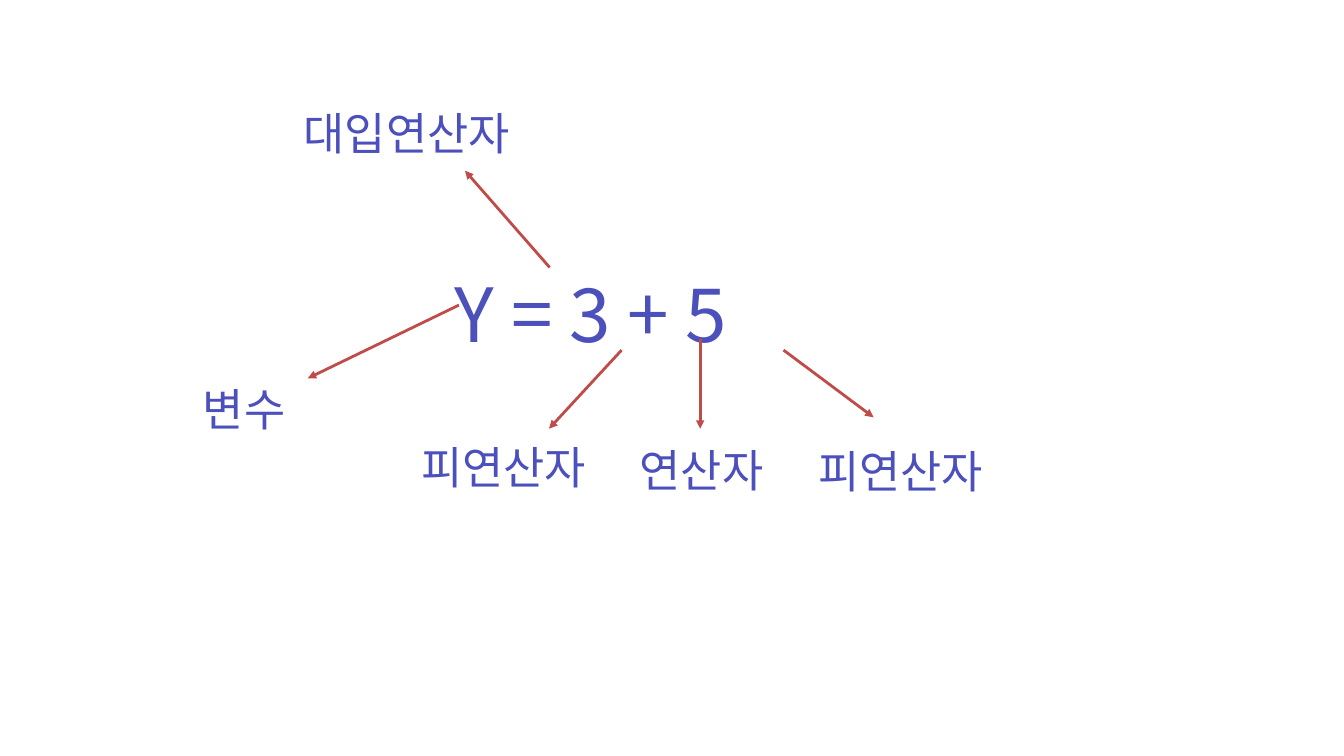
from lxml import etree
from pptx import Presentation
from pptx import util as u
from pptx.dml.color import RGBColor
from pptx.enum import shapes, text
from pptx.oxml import ns

FONT = "Noto Sans CJK KR"
FORMULA, LABEL, ARROW = "4C50BB", "4C50BC", "BF4C48"

# Each part of the formula: name, label box, arrow start, arrow end
PARTS = [
    ("연산자", (9.42, 6.54, 2.25, 0.91), (10.42, 5.04), (10.42, 6.38)),
    ("피연산자", (6.17, 6.5, 2.92, 0.91), (9.25, 5.21), (8.17, 6.38)),
    ("피연산자", (12.08, 6.56, 2.92, 0.91), (11.66, 5.21), (13, 6.21)),
    ("대입연산자", (4.42, 1.52, 3.75, 0.91), (8.18, 3.98), (6.92, 2.54)),
    ("변수", (2.92, 5.63, 1.92, 0.91), (6.83, 4.54), (4.58, 5.63)),
]


def color(code):
    return RGBColor.from_string(code)


def sub(parent, tag, **attrs):
    return etree.SubElement(parent, ns.qn(tag), attrs)


def add_text(slide, box, words, size, code, wrap=True):
    shape = slide.shapes.add_textbox(*map(u.Inches, box))
    frame = shape.text_frame
    frame.word_wrap = wrap
    frame.auto_size = text.MSO_AUTO_SIZE.SHAPE_TO_FIT_TEXT
    run = frame.paragraphs[0].add_run()
    run.text = words
    for key, value in {"name": FONT, "size": u.Pt(size)}.items():
        setattr(run.font, key, value)
    run.font.color.rgb = color(code)
    # Korean letters take the East Asian font
    sub(run.font._element, "a:ea", typeface=FONT)


def add_arrow(slide, start, end):
    line = slide.shapes.add_connector(
        shapes.MSO_CONNECTOR.STRAIGHT, *map(u.Inches, start + end))
    line.line.color.rgb = color(ARROW)
    line.line.width = u.Pt(3)
    sub(line.line._get_or_add_ln(), "a:tailEnd", type="triangle")
    sub(line._element.spPr, "a:effectLst")


def add_part(slide, name, box, start, end):
    add_arrow(slide, start, end)
    add_text(slide, box, name, 48, LABEL)


def main():
    deck = Presentation()
    deck.slide_width, deck.slide_height = u.Inches(20), u.Inches(11.25)
    slide = deck.slides.add_slide(deck.slide_layouts[6])

    # Formula in the centre
    add_text(slide, (6.67, 3.93, 5.25, 1.45), "Y = 3 + 5", 80, FORMULA, False)

    # Named parts around it
    for part in PARTS:
        add_part(slide, *part)

    deck.save("out.pptx")


if __name__ == "__main__":
    main()
